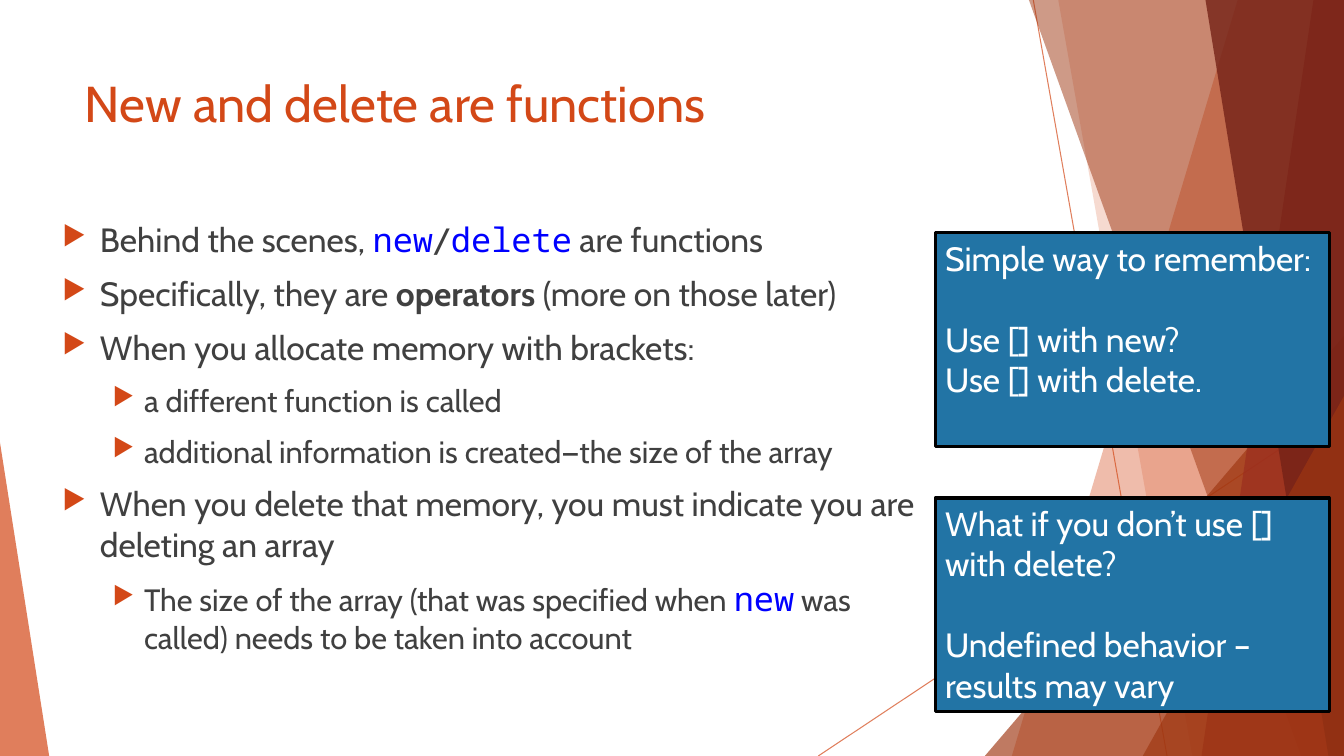
"""Build the slide that explains new and delete as functions."""
from lxml.etree import SubElement
from pptx import Presentation
from pptx.dml.color import RGBColor
from pptx.enum.shapes import MSO_CONNECTOR, MSO_SHAPE
from pptx.enum.text import MSO_ANCHOR as ANCHOR, PP_ALIGN as ALIGN
from pptx.oxml.ns import qn
from pptx.util import Cm, Pt

WIDTH, HEIGHT = 33.87, 19.05
TEXT_FONT, CODE_FONT = "Cabin", "Noto Sans Mono"
COLORS = {
    "orange": "D34817", "rust": "9E3611", "red": "9B2D1F", "maroon": "742217",
    "text": "404040", "code": "0000FF", "box": "2274A5", "white": "FFFFFF",
    "black": "000000",
}
LINES = [((26.04, 0), (29.41, HEIGHT)), ((WIDTH, 10.24), (20.62, HEIGHT))]
BACK_FACETS = [(31.19, 25.5, "orange", 36), (26.67, 30.05, "orange", 20)]
FRONT_FACETS = [(25.93, 32.79, "rust", 50), (33.1, 30.28, "red", 70),
                (30.38, 33.48, "maroon", 80)]
BULLETS = [
    (0, [("Behind the scenes, ", ""), ("new", "code"), ("/", ""),
         ("delete", "code"), (" are functions", "")]),
    (0, [("Specifically, they are ", ""), ("operators", "bold"),
         (" (more on those later)", "")]),
    (0, [("When you allocate memory with brackets:", "")]),
    (1, [("a different function is called", "")]),
    (1, [("additional information is created—the size of the array", "")]),
    (0, [("When you delete that memory, you must indicate you are "
          "deleting an array", "")]),
    (1, [("The size of the array (that was specified when ", ""),
         ("new", "code"), (" was called) needs to be taken into account", "")]),
]
LEVELS = [(0.95, -0.95, 24), (2.06, -0.79, 22)]
BOXES = [
    (5.87, [("Simple way to remember:", 0), ("Use [] with new?", 29),
            ("Use [] with delete.", 0)]),
    (12.55, [("What if you don’t use [] with delete?", 0),
             ("Undefined behavior – results may vary", 29)]),
]


def rgb(name):
    return RGBColor.from_string(COLORS[name])


def set_font(font, size, color, name=TEXT_FONT):
    font.name, font.size = name, Pt(size)
    font.color.rgb = rgb(color)


def set_alpha(color_format_parent, percent):
    color = color_format_parent.find(".//" + qn("a:srgbClr"))
    SubElement(color, qn("a:alpha"), val=str(percent * 1000))


def style_facet(shape, color, percent):
    shape.shadow.inherit = False
    shape.fill.solid()
    shape.fill.fore_color.rgb = rgb(color)
    set_alpha(shape.element.spPr, percent)
    shape.line.fill.background()


def add_line(slide, start, end):
    ends = [Cm(value) for value in start + end]
    line = slide.shapes.add_connector(MSO_CONNECTOR.STRAIGHT, *ends)
    line.line.color.rgb = rgb("orange")
    line.line.width = Pt(0.75)
    set_alpha(line.element.spPr, 70)
    SubElement(line.element.spPr, qn("a:effectLst"))


def add_facet(slide, top, bottom, color, percent):
    builder = slide.shapes.build_freeform(Cm(top), 0)
    corners = [(WIDTH, 0), (WIDTH, HEIGHT), (bottom, HEIGHT)]
    builder.add_line_segments([(Cm(x), Cm(y)) for x, y in corners], close=True)
    style_facet(builder.convert_to_shape(), color, percent)


def add_triangle(slide, left, top, width, apex, color, percent):
    shape = slide.shapes.add_shape(MSO_SHAPE.ISOSCELES_TRIANGLE, Cm(left), Cm(top),
                                   Cm(width), Cm(HEIGHT - top))
    shape.adjustments[0] = apex
    style_facet(shape, color, percent)


def add_decoration(slide):
    for start, end in LINES:
        add_line(slide, start, end)
    for facet in BACK_FACETS:
        add_facet(slide, *facet)
    add_triangle(slide, 24.82, 8.46, WIDTH - 24.82, 1, "rust", 66)
    for facet in FRONT_FACETS:
        add_facet(slide, *facet)
    add_triangle(slide, 28.8, 9.98, WIDTH - 28.8, 1, "rust", 66)
    add_triangle(slide, 0, 11.15, 1.24, 0, "orange", 70)


def set_title(slide, text):
    title = slide.shapes.title
    title.left, title.top, title.width, title.height = Cm(1.88), Cm(1.7), Cm(23.88), Cm(2.54)
    title.text_frame.text = text
    title.text_frame.vertical_anchor = ANCHOR.TOP
    paragraph = title.text_frame.paragraphs[0]
    paragraph.alignment = ALIGN.LEFT
    set_font(paragraph.font, 36, "orange")


def set_bullet(paragraph, margin, indent):
    properties = paragraph._p.get_or_add_pPr()
    properties.set("marL", str(Cm(margin)))
    properties.set("indent", str(Cm(indent)))
    color = SubElement(properties, qn("a:buClr"))
    SubElement(color, qn("a:srgbClr"), val=COLORS["orange"])
    SubElement(properties, qn("a:buSzPct"), val="80000")
    SubElement(properties, qn("a:buChar"), char="▶")


def add_bullets(slide, bullets):
    frame = slide.shapes.add_textbox(Cm(1.32), Cm(5.38), Cm(22.28), Cm(11.38)).text_frame
    frame.word_wrap = True
    for index, (level, runs) in enumerate(bullets):
        paragraph = frame.add_paragraph() if index else frame.paragraphs[0]
        margin, indent, size = LEVELS[level]
        paragraph.level = level
        paragraph.space_before = Pt(10 if index else 0)
        set_bullet(paragraph, margin, indent)
        if len(runs) == 1:
            set_font(paragraph.font, size, "text")
        for text, style in runs:
            run = paragraph.add_run()
            run.text = text
            if style == "code":
                set_font(run.font, 24, "code", CODE_FONT)
            elif len(runs) > 1:
                set_font(run.font, size, "text")
            if style == "bold":
                run.font.bold = True


def add_box(slide, top, lines):
    box = slide.shapes.add_shape(MSO_SHAPE.RECTANGLE, Cm(23.57), Cm(top), Cm(9.93), Cm(5.38))
    box.shadow.inherit = False
    box.fill.solid()
    box.fill.fore_color.rgb = rgb("box")
    box.line.color.rgb = rgb("black")
    box.line.width = Pt(2.25)
    frame = box.text_frame
    frame.word_wrap = True
    frame.vertical_anchor = ANCHOR.TOP
    for index, (text, gap) in enumerate(lines):
        paragraph = frame.add_paragraph() if index else frame.paragraphs[0]
        paragraph.text = text
        paragraph.alignment = ALIGN.LEFT
        paragraph.space_before = Pt(gap)
        set_font(paragraph.font, 24, "white")


def main():
    presentation = Presentation()
    presentation.slide_width, presentation.slide_height = Cm(WIDTH), Cm(HEIGHT)
    slide = presentation.slides.add_slide(presentation.slide_layouts[5])
    add_decoration(slide)
    set_title(slide, "New and delete are functions")
    add_bullets(slide, BULLETS)
    for top, lines in BOXES:
        add_box(slide, top, lines)
    presentation.save("out.pptx")


if __name__ == "__main__":
    main()
